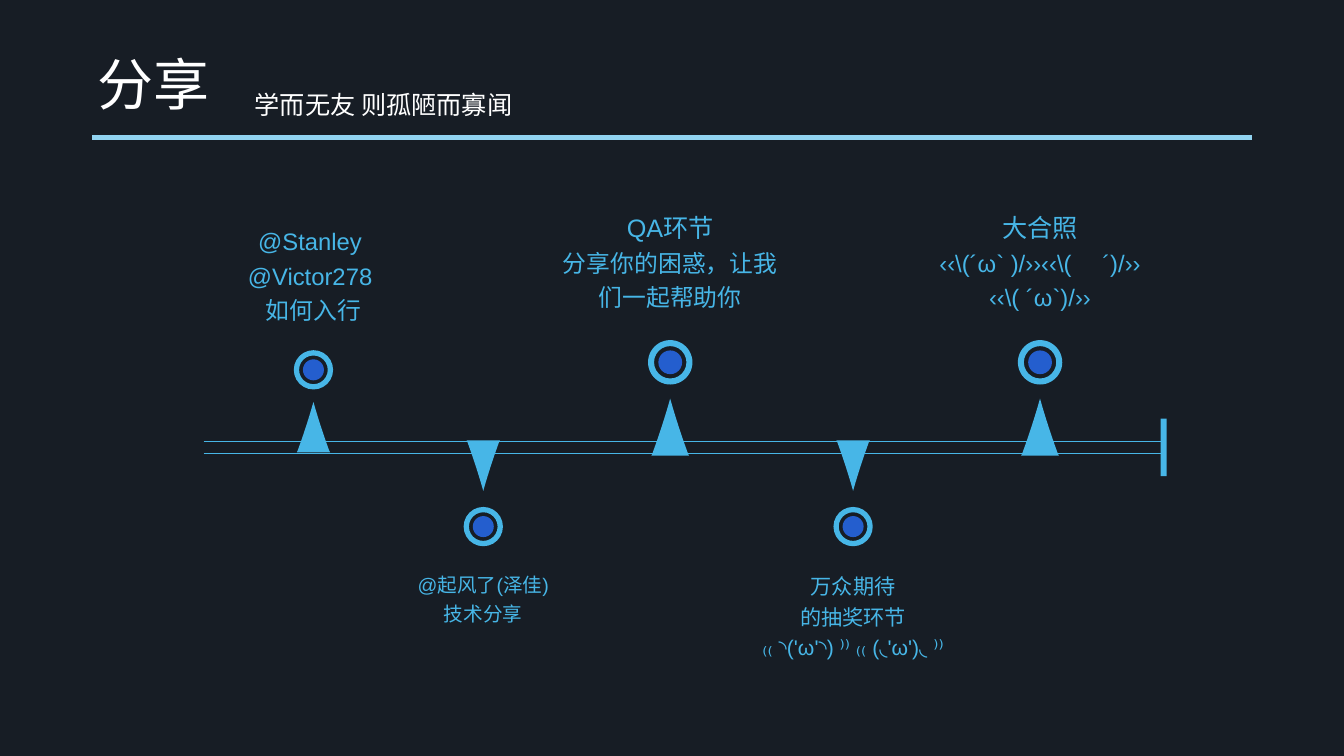
from lxml import etree
from pptx import Presentation
from pptx.dml.color import RGBColor
from pptx.enum import shapes, text
from pptx.oxml import ns
from pptx.util import Cm, Pt

NIGHT = RGBColor(0x17, 0x1D, 0x25)
SKY = RGBColor(0x47, 0xB6, 0xE7)
PALE_SKY = RGBColor(0x91, 0xD3, 0xF1)
BLUE = RGBColor(0x24, 0x5E, 0xCE)
WHITE = RGBColor(0xFF, 0xFF, 0xFF)
LATIN, CHINESE = "Arial", "Noto Sans CJK SC"

MILESTONES = [
    (2.77, True, 1, [(17, ["@Stanley "]), (17, ["@Victor278 "]), (17, ["如何入行"])]),
    (7.05, False, 1, [(14, ["@", "起风了", "(", "泽佳", ")"]), (14, ["技术分享"])]),
    (11.76, True, 1.13, [(18, ["QA环节"]), (17, ["分享你的困惑，让我们一起帮助你"])]),
    (16.37, False, 1, [(15.1, ["万众期待"]), (15.1, ["的抽奖环节"]),
                       (15.1, ["₍₍ ◝('ω'◝) ⁾⁾ ₍₍ (◟'ω')◟ ⁾⁾"])]),
    (21.08, True, 1.13, [(18, ["大合照"]), (17, ["‹‹\\(´ω` )/››‹‹\\( 　´)/››"]),
                         (17, ["‹‹\\( ´ω`)/››"])]),
]


def paint(shape, colour):
    """Give a shape a flat fill without line or shadow."""
    shape.shadow.inherit = False
    shape.fill.solid()
    shape.fill.fore_color.rgb = colour
    shape.line.fill.background()


def add_rule(slide, left, right, y, colour, width):
    """Draw a horizontal line."""
    rule = slide.shapes.add_connector(
        shapes.MSO_CONNECTOR.STRAIGHT, Cm(left), Cm(y), Cm(right), Cm(y))
    rule.line.color.rgb = colour
    rule.line.width = Pt(width)
    etree.SubElement(rule._element.spPr, ns.qn("a:effectLst"))


def add_run(paragraph, words, size, colour, latin):
    """Append a run with its Latin and East Asian fonts."""
    run = paragraph.add_run()
    run.text = words
    run.font.size = Pt(size)
    run.font.color.rgb = colour
    run.font.name = latin
    east_asian = etree.SubElement(run.font._element, ns.qn("a:ea"))
    east_asian.set("typeface", CHINESE)


def set_frame(frame, anchor):
    """Set wrapping, anchor and narrow margins of a text frame."""
    frame.word_wrap = True
    frame.auto_size = text.MSO_AUTO_SIZE.NONE
    frame.vertical_anchor = anchor
    frame.margin_left = frame.margin_right = Cm(0.13)
    frame.margin_top = frame.margin_bottom = Cm(0.13)


def add_header(slide, left, top, width, height):
    """Place the title, its motto and the rule below them."""
    add_rule(slide, left, left + width, top + height + 0.1, PALE_SKY, 3.5)
    title = slide.shapes.title
    title.left, title.top, title.width, title.height = map(Cm, (left, top, width, height))
    set_frame(title.text_frame, text.MSO_ANCHOR.MIDDLE)
    heading = title.text_frame.paragraphs[0]
    heading.alignment = text.PP_ALIGN.LEFT
    heading.line_spacing = 0.9
    add_run(heading, "分享", 40, WHITE, CHINESE)

    motto = slide.shapes.add_textbox(Cm(left + 3.96), Cm(top + 1.09), Cm(13.82), Cm(0.91))
    set_frame(motto.text_frame, text.MSO_ANCHOR.TOP)
    add_run(motto.text_frame.paragraphs[0], "学而无友 则孤陋而寡闻", 18, WHITE, CHINESE)


def add_pointer(group, x, base, direction, scale):
    """Draw a tapering pointer with slightly hollow sides."""
    half, height, steps = 0.42 * scale, 1.27 * scale, 12
    side = [(half, 0)]
    for step in range(steps + 1):
        t = step / steps
        side.append((half * (0.94 * (1 - t) - 0.12 * t * (1 - t)), height * (0.04 + 0.96 * t)))
    outline = side + [(-dx, dy) for dx, dy in reversed(side[:-1])]
    points = [(Cm(x + dx), Cm(base + direction * dy)) for dx, dy in outline]
    builder = group.shapes.build_freeform(*points[0])
    builder.add_line_segments(points[1:], close=True)
    paint(builder.convert_to_shape(), SKY)


def add_round(group, kind, x, y, size, colour):
    """Draw a round shape about its centre."""
    mark = group.shapes.add_shape(
        kind, Cm(x - size / 2), Cm(y - size / 2), Cm(size), Cm(size))
    paint(mark, colour)
    return mark


def add_milestone(slide, x, rail, above, scale, lines):
    """Place a pointer, ringed dot and caption on one side of the rail."""
    direction = -1 if above else 1
    base = rail + (0.12 + 0.2 * (scale - 1) / 0.13 * 0.4 if above else -0.18)
    group = slide.shapes.add_group_shape()
    add_pointer(group, x, base, direction, scale)
    centre = base + direction * (2.08 if above else 2.17) * scale
    ring = add_round(group, shapes.MSO_SHAPE.DONUT, x, centre, 0.99 * scale, SKY)
    ring.adjustments[0] = 0.135
    add_round(group, shapes.MSO_SHAPE.OVAL, x, centre, 0.53 * scale, BLUE)

    width, height = 5.21 * scale, 3.3 * scale
    edge = base + direction * 3.1 * scale
    caption = group.shapes.add_textbox(
        Cm(x - width / 2), Cm(edge - height if above else edge), Cm(width), Cm(height))
    frame = caption.text_frame
    set_frame(frame, text.MSO_ANCHOR.BOTTOM if above else text.MSO_ANCHOR.TOP)
    for index, (size, pieces) in enumerate(lines):
        paragraph = frame.add_paragraph() if index else frame.paragraphs[0]
        paragraph.alignment = text.PP_ALIGN.CENTER
        paragraph.line_spacing = 1.2
        for piece in pieces:
            add_run(paragraph, piece, size, SKY, LATIN)


def add_timeline(slide, left, top, width, height):
    """Place the double rail, its end stop and the milestones."""
    rail = top + height / 2
    for offset in (0.15, -0.15):
        add_rule(slide, left, left + width, rail + offset, SKY, 0.5)
    stop = slide.shapes.add_shape(
        shapes.MSO_SHAPE.RECTANGLE, Cm(left + width - 0.09), Cm(rail - 0.73), Cm(0.15), Cm(1.45))
    paint(stop, SKY)
    for x, above, scale, lines in MILESTONES:
        add_milestone(slide, left + x, rail, above, scale, lines)


def main():
    """Build and save the sharing agenda slide."""
    deck = Presentation()
    deck.slide_width, deck.slide_height = Cm(33.87), Cm(19.05)
    slide = deck.slides.add_slide(deck.slide_layouts[5])
    slide.background.fill.solid()
    slide.background.fill.fore_color.rgb = NIGHT
    add_header(slide, 2.33, 1.02, 29.21, 2.34)
    add_timeline(slide, 5.13, 4.28, 24.21, 14)
    deck.save("out.pptx")


if __name__ == "__main__":
    main()
